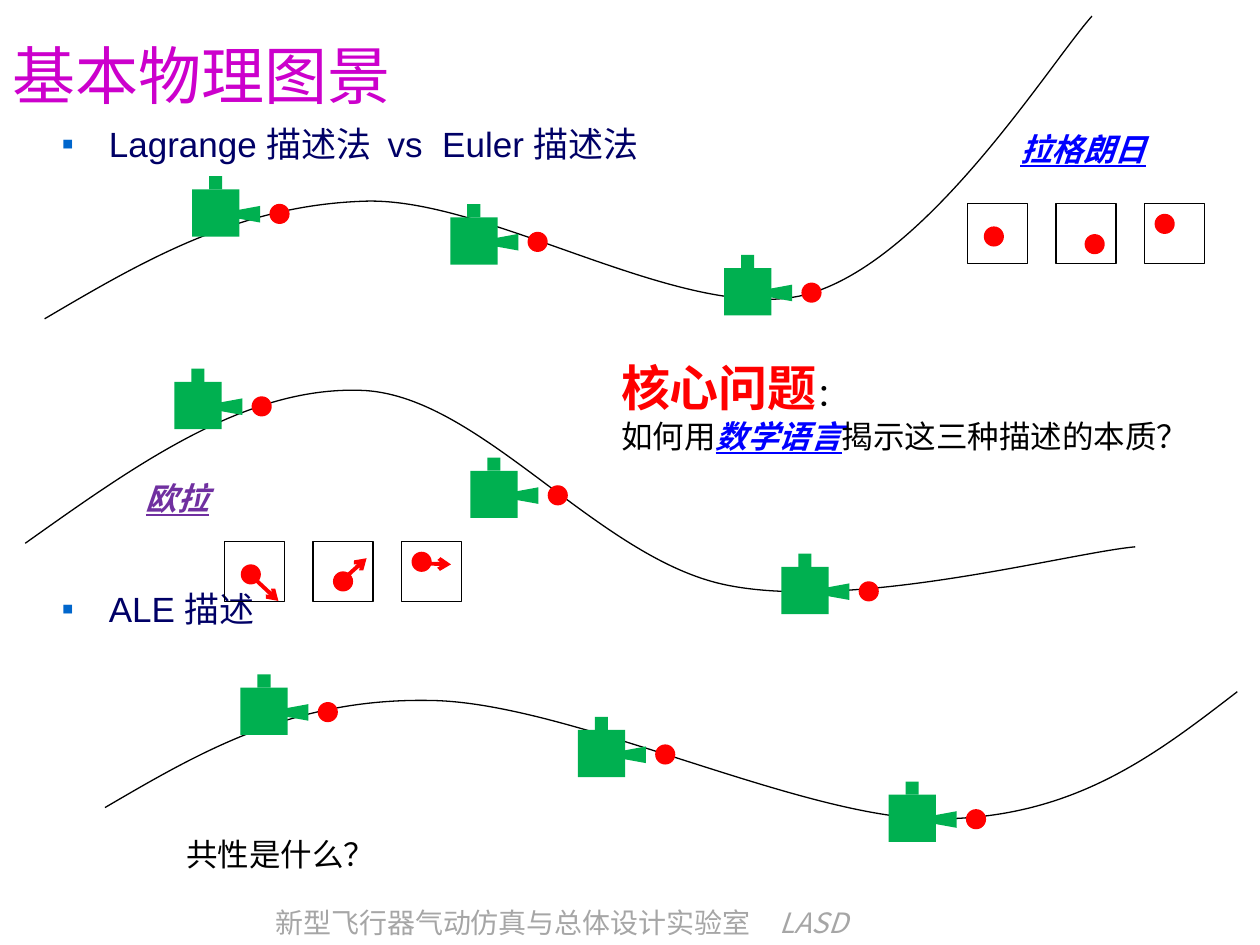
from dataclasses import dataclass

from lxml.etree import SubElement
from pptx import Presentation
from pptx.dml.color import RGBColor
from pptx.enum.shapes import MSO_CONNECTOR, MSO_SHAPE
from pptx.enum.text import MSO_ANCHOR, PP_ALIGN
from pptx.oxml.ns import qn
from pptx.util import Pt

BLACK = RGBColor(0x00, 0x00, 0x00)
RED = RGBColor(0xFF, 0x00, 0x00)
GREEN = RGBColor(0x00, 0xB0, 0x50)
BLUE = RGBColor(0x00, 0x00, 0xFF)
PURPLE = RGBColor(0x70, 0x30, 0xA0)
MAGENTA = RGBColor(0xCC, 0x00, 0xCC)
NAVY = RGBColor(0x00, 0x00, 0x66)
GREY = RGBColor(0xA6, 0xA6, 0xA6)
BULLET_COLOR = "0066CC"
LATIN_FONT = "Arial"
CHINESE_FONT = "Noto Sans CJK SC"

BALL_SIZE = 11.5
FRAME_SIZE = 34.4
FRAME_STEP = 50.6


@dataclass(frozen=True)
class Span:
    text: str
    size: float
    color: RGBColor
    font: str = LATIN_FONT
    bold: bool = False
    italic: bool = False
    underline: bool = False


@dataclass(frozen=True)
class TextBlock:
    left: float
    top: float
    width: float
    height: float
    paragraphs: tuple[tuple[Span, ...], ...]
    anchor: MSO_ANCHOR = MSO_ANCHOR.TOP


@dataclass(frozen=True)
class Trajectory:
    points: tuple[tuple[float, float], ...]
    balls: tuple[tuple[float, float], ...]


@dataclass(frozen=True)
class FrameRow:
    left: float
    top: float
    dots: tuple[tuple[float, float], ...]
    arrows: tuple[tuple[float, float, float, float], ...] = ()


TRAJECTORIES = (
    Trajectory(
        ((25.5, 182.2), (80.6, 149.8), (135.4, 117.4), (208, 115), (280, 112.3), (391, 185.8),
         (460, 168.5), (529.2, 150.5), (599, 37.4), (624, 9.2)),
        ((154, 116.5), (301.5, 132.5), (458, 161.5)),
    ),
    Trajectory(
        ((14.4, 310.5), (78.5, 265), (141.8, 219.6), (208.8, 223.2), (275.8, 227.5), (342, 319.7),
         (415.4, 334.4), (488.2, 349.2), (610.6, 316), (648.7, 312.5)),
        ((143.8, 226.5), (313, 277.3), (490.7, 332.2)),
    ),
    Trajectory(
        ((60, 461.5), (113, 430.6), (166.3, 398.9), (245.5, 400.3), (325.4, 401), (460, 469.4),
         (537.1, 468), (614.2, 467.3), (660.2, 431.3), (707, 395.3)),
        ((181.6, 401.2), (374.4, 425.4), (552, 462.4)),
    ),
)

FRAME_ROWS = (
    FrameRow(
        128.2, 309.5, ((9.4, 13), (11.5, 17), (5.8, 5.8)),
        ((10.8, 15.2, 30.9, 33.9), (15.6, 23.2, 30.7, 9.5), (10.3, 12.4, 28.3, 13)),
    ),
    FrameRow(552.8, 116.4, ((9.4, 13), (16.4, 17.4), (5.8, 5.8))),
)

TEXT_BLOCKS = (
    TextBlock(347.8, 200.9, 396.7, 63.4, (
        (Span("核心问题", 28, RED, CHINESE_FONT, bold=True), Span("：", 18, BLACK)),
        (Span("如何用", 18, BLACK),
         Span("数学语言", 18, BLUE, CHINESE_FONT, True, True, True),
         Span("揭示这三种描述的本质？", 18, BLACK)),
    )),
    TextBlock(576, 70.6, 96.5, 28.8, (
        (Span("拉格朗日", 18, BLUE, bold=True, italic=True, underline=True),),)),
    TextBlock(76.3, 270, 96.5, 28.8, (
        (Span("欧拉", 18, PURPLE, bold=True, italic=True, underline=True),),)),
    TextBlock(99.4, 473.8, 167.8, 28.8, ((Span("共性是什么？", 18, BLACK),),)),
    TextBlock(150.5, 513.4, 470.9, 26.6, (
        (Span("新型飞行器气动仿真与总体设计实验室\t", 16, GREY, CHINESE_FONT),
         Span("LASD", 16, GREY, CHINESE_FONT, italic=True)),), MSO_ANCHOR.BOTTOM),
)

BULLETS = TextBlock(28.1, 66.2, 680.4, 424.8, (
    (Span("Lagrange 描述法  vs  Euler 描述法", 20, NAVY),),
    (Span("ALE 描述", 20, NAVY),),
))
BULLET_GAP = 242


def add_span(para, span: Span) -> None:
    run = para.add_run()
    run.text = span.text
    font = run.font
    font.size = Pt(span.size)
    font.bold = span.bold
    font.italic = span.italic
    font.underline = span.underline
    font.color.rgb = span.color
    font.name = span.font
    SubElement(run._r.get_or_add_rPr(), qn("a:ea"), typeface=CHINESE_FONT)


def add_text(page, block: TextBlock):
    box = page.shapes.add_textbox(Pt(block.left), Pt(block.top), Pt(block.width), Pt(block.height))
    frame = box.text_frame
    frame.word_wrap = True
    frame.vertical_anchor = block.anchor
    for index, spans in enumerate(block.paragraphs):
        para = frame.add_paragraph() if index else frame.paragraphs[0]
        for span in spans:
            add_span(para, span)
    return box


def add_bullets(page) -> None:
    box = add_text(page, BULLETS)
    for index, para in enumerate(box.text_frame.paragraphs):
        para.space_before = Pt(BULLET_GAP * index)
        properties = para._p.get_or_add_pPr()
        properties.set("marL", str(Pt(27)))
        properties.set("indent", str(-Pt(27)))
        SubElement(SubElement(properties, qn("a:buClr")), qn("a:srgbClr"), val=BULLET_COLOR)
        SubElement(properties, qn("a:buFont"), typeface=LATIN_FONT)
        SubElement(properties, qn("a:buChar"), char="▪")


def set_title(page) -> None:
    title = page.shapes.title
    title.left, title.top, title.width, title.height = Pt(0), Pt(0), Pt(708.5), Pt(85)
    title.text_frame.vertical_anchor = MSO_ANCHOR.MIDDLE
    para = title.text_frame.paragraphs[0]
    para.alignment = PP_ALIGN.LEFT
    add_span(para, Span("基本物理图景", 36, MAGENTA))


def add_solid(shapes, kind: MSO_SHAPE, left: float, top: float, width: float, height: float,
              color: RGBColor):
    shape = shapes.add_shape(kind, Pt(left), Pt(top), Pt(width), Pt(height))
    shape.shadow.inherit = False
    shape.fill.solid()
    shape.fill.fore_color.rgb = color
    shape.line.fill.background()
    return shape


def add_ball(shapes, left: float, top: float) -> None:
    add_solid(shapes, MSO_SHAPE.OVAL, left, top, BALL_SIZE, BALL_SIZE, RED)


def add_camera(page, left: float, top: float) -> None:
    shapes = page.shapes.add_group_shape().shapes
    add_ball(shapes, left, top)
    add_solid(shapes, MSO_SHAPE.RECTANGLE, left - 44.2, top - 8.3, 27, 27, GREEN)
    lens = add_solid(shapes, MSO_SHAPE.TRAPEZOID, left - 16.6, top - 0.6, 9.5, 13, GREEN)
    lens.rotation = 270
    add_solid(shapes, MSO_SHAPE.RECTANGLE, left - 34.5, top - 15.8, 7.5, 7.5, GREEN)


def set_outline(shape) -> None:
    shape.shadow.inherit = False
    shape.fill.background()
    shape.line.color.rgb = BLACK
    shape.line.width = Pt(0.75)


def add_curve(page, points: tuple[tuple[float, float], ...]) -> None:
    corners = [(Pt(x), Pt(y)) for x, y in points]
    builder = page.shapes.build_freeform(*corners[0])
    builder.add_line_segments(corners[1:], close=False)
    curve = builder.convert_to_shape()
    outline = next(curve._element.iter(qn("a:path")))
    segments = outline.findall(qn("a:lnTo"))
    for start in range(0, len(segments), 3):
        bezier = SubElement(outline, qn("a:cubicBezTo"))
        for segment in segments[start:start + 3]:
            bezier.append(segment[0])
            outline.remove(segment)
    set_outline(curve)


def add_arrow(page, start_x: float, start_y: float, end_x: float, end_y: float) -> None:
    arrow = page.shapes.add_connector(
        MSO_CONNECTOR.STRAIGHT, Pt(start_x), Pt(start_y), Pt(end_x), Pt(end_y))
    arrow.line.color.rgb = RED
    arrow.line.width = Pt(2.25)
    SubElement(arrow.line._get_or_add_ln(), qn("a:tailEnd"), type="arrow")
    SubElement(arrow._element.spPr, qn("a:effectLst"))


def add_frame_row(page, row: FrameRow) -> None:
    lefts = [row.left + FRAME_STEP * index for index in range(len(row.dots))]
    for left, (dot_x, dot_y) in zip(lefts, row.dots):
        set_outline(page.shapes.add_shape(
            MSO_SHAPE.RECTANGLE, Pt(left), Pt(row.top), Pt(FRAME_SIZE), Pt(FRAME_SIZE)))
        add_ball(page.shapes, left + dot_x, row.top + dot_y)
    for left, (start_x, start_y, end_x, end_y) in zip(lefts, row.arrows):
        add_arrow(page, left + start_x, row.top + start_y, left + end_x, row.top + end_y)


def main() -> None:
    deck = Presentation()
    deck.slide_width, deck.slide_height = Pt(720), Pt(540)
    page = deck.slides.add_slide(deck.slide_layouts[5])
    set_title(page)
    add_bullets(page)
    for trajectory in TRAJECTORIES:
        add_curve(page, trajectory.points)
        for left, top in trajectory.balls:
            add_camera(page, left, top)
    for block in TEXT_BLOCKS:
        add_text(page, block)
    for row in FRAME_ROWS:
        add_frame_row(page, row)
    deck.save("out.pptx")


if __name__ == "__main__":
    main()
